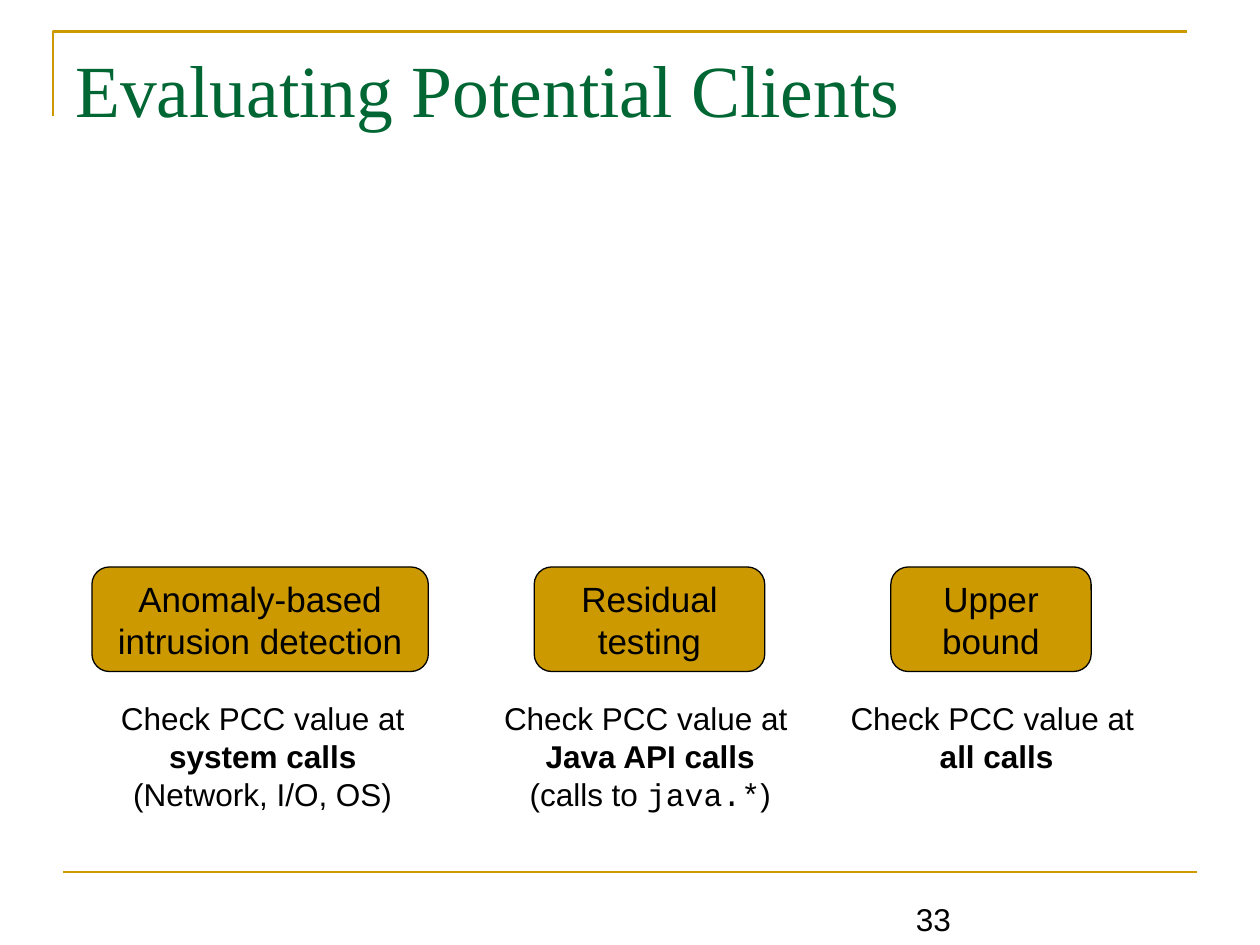
from dataclasses import dataclass

from lxml import etree
from pptx import Presentation
from pptx.dml.color import RGBColor
from pptx.enum.shapes import MSO_CONNECTOR as Connector, MSO_SHAPE as Shape
from pptx.enum.text import MSO_ANCHOR as Anchor, PP_ALIGN as Align
from pptx.oxml.ns import qn
from pptx.util import Inches, Pt


@dataclass(frozen=True)
class Theme:
    gold: RGBColor = RGBColor(0xCC, 0x99, 0x00)
    green: RGBColor = RGBColor(0x00, 0x66, 0x33)
    black: RGBColor = RGBColor(0x00, 0x00, 0x00)
    serif: str = "Times New Roman"
    sans: str = "Arial"
    mono: str = "Courier New"
    title_size: int = 42
    card_size: int = 20
    body_size: int = 18
    rule_width: float = 1.5
    outline_width: float = 0.75


THEME = Theme()
BODY = dict(name=THEME.sans, size=Pt(THEME.body_size), bold=False)
BOLD = BODY | dict(bold=True)
CODE = BODY | dict(name=THEME.mono)
CARD = BODY | dict(size=Pt(THEME.card_size))
TITLE = dict(name=THEME.serif, size=Pt(THEME.title_size), bold=False)

CLIENTS = [
    dict(
        left=0.73, width=2.67, note_left=0.86, note_width=2.45, note_height=1,
        name="Anomaly-based intrusion detection",
        note=[
            [("Check PCC value at", BODY)],
            [("system calls", BOLD)],
            [("(Network, I/O, OS)", BODY)],
        ],
    ),
    dict(
        left=4.24, width=1.83, note_left=3.9, note_width=2.52, note_height=1,
        name="Residual testing",
        note=[
            [("Check PCC value at ", BODY)],
            [("Java API calls", BOLD)],
            [("(calls to ", BODY), ("java.*", CODE), (")", BODY)],
        ],
    ),
    dict(
        left=7.07, width=1.59, note_left=6.65, note_width=2.52, note_height=0.7,
        name="Upper bound",
        note=[
            [("Check PCC value at ", BODY)],
            [("all calls", BOLD)],
        ],
    ),
]


def write(shape, lines, align=Align.LEFT, anchor=Anchor.TOP, wrap=True, color=THEME.black):
    frame = shape.text_frame
    frame.word_wrap = wrap
    frame.vertical_anchor = anchor
    for index, runs in enumerate(lines):
        paragraph = frame.add_paragraph() if index else frame.paragraphs[0]
        paragraph.alignment = align
        for text, font_values in runs:
            run = paragraph.add_run()
            run.text = text
            run.font.color.rgb = color
            for key, value in font_values.items():
                setattr(run.font, key, value)


def add_text(slide, left, top, width, height, lines, **options):
    box = slide.shapes.add_textbox(Inches(left), Inches(top), Inches(width), Inches(height))
    write(box, lines, **options)


def style_line(line, color, width):
    line.color.rgb = color
    line.width = Pt(width)


def add_header(slide, left, top, width, height):
    builder = slide.shapes.build_freeform(Inches(left), Inches(top + height))
    builder.add_line_segments(
        [(Inches(left), Inches(top)), (Inches(left + width), Inches(top))], close=False
    )
    corner = builder.convert_to_shape()
    corner.shadow.inherit = False
    corner.fill.background()
    style_line(corner.line, THEME.gold, THEME.rule_width)
    add_text(
        slide, left + 0.08, top + 0.05, width, 1.25,
        [[("Evaluating Potential Clients", TITLE)]], color=THEME.green,
    )


def add_client(slide, client, top):
    card = slide.shapes.add_shape(
        Shape.ROUNDED_RECTANGLE,
        Inches(client["left"]), Inches(top), Inches(client["width"]), Inches(0.83),
    )
    card.shadow.inherit = False
    card.fill.solid()
    card.fill.fore_color.rgb = THEME.gold
    style_line(card.line, THEME.black, THEME.outline_width)
    write(card, [[(client["name"], CARD)]], Align.CENTER, Anchor.MIDDLE)
    add_text(
        slide, client["note_left"], top + 1, client["note_width"], client["note_height"],
        client["note"], align=Align.CENTER, wrap=False,
    )


def add_footer(slide, left, top, width):
    right = left + width
    rule = slide.shapes.add_connector(
        Connector.STRAIGHT, Inches(left), Inches(top), Inches(right), Inches(top)
    )
    style_line(rule.line, THEME.gold, THEME.rule_width)
    etree.SubElement(rule._element.spPr, qn("a:effectLst"))
    add_text(
        slide, right - 2.33, top + 0.07, 2.33, 0.5, [[("33", BODY)]], anchor=Anchor.BOTTOM
    )


def main():
    presentation = Presentation()
    presentation.slide_width = Inches(10)
    presentation.slide_height = Inches(7.5)
    slide = presentation.slides.add_slide(presentation.slide_layouts[6])
    add_header(slide, 0.42, 0.25, 9, 0.67)
    for client in CLIENTS:
        add_client(slide, client, 4.5)
    add_footer(slide, 0.5, 6.92, 9)
    presentation.save("out.pptx")


if __name__ == "__main__":
    main()
